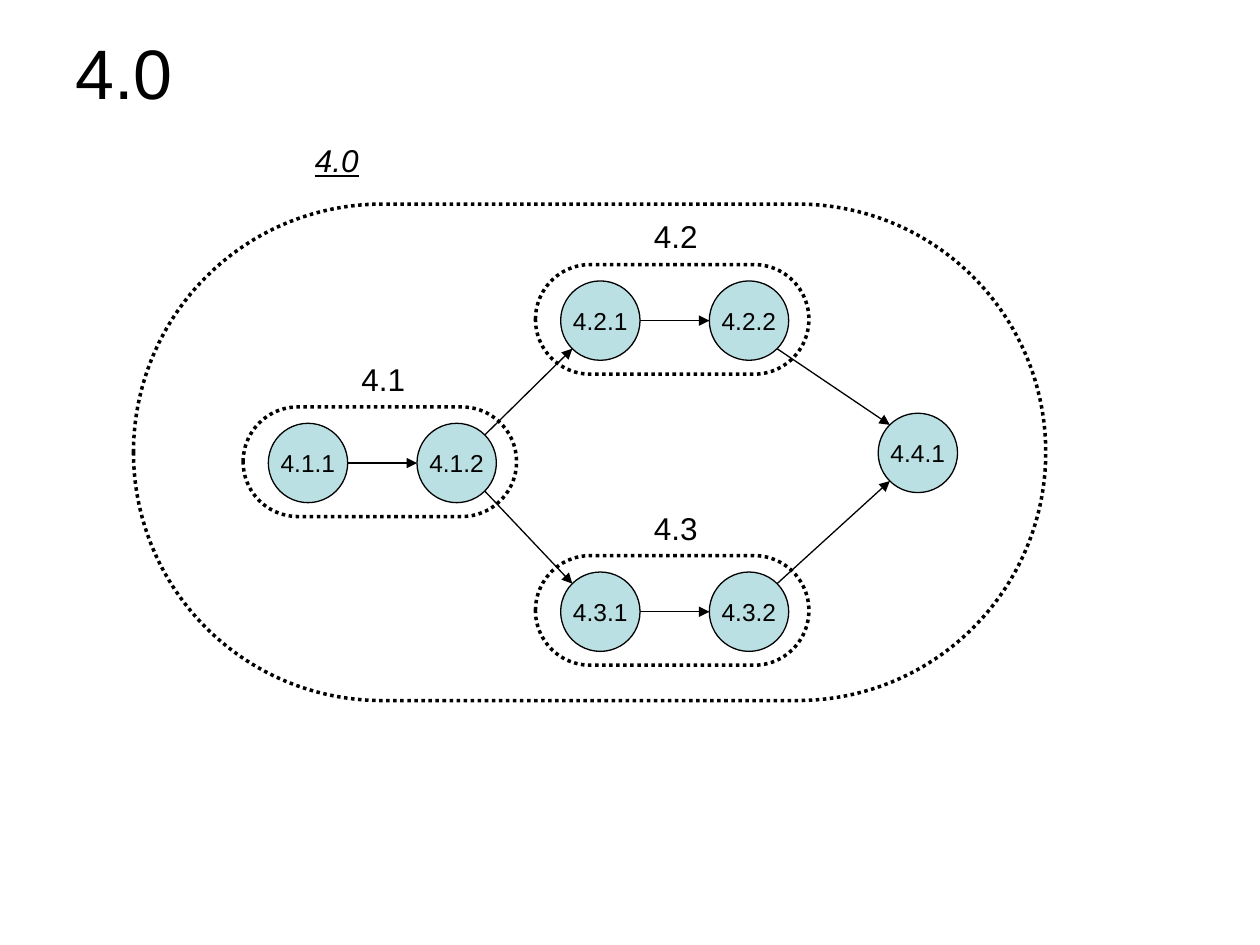
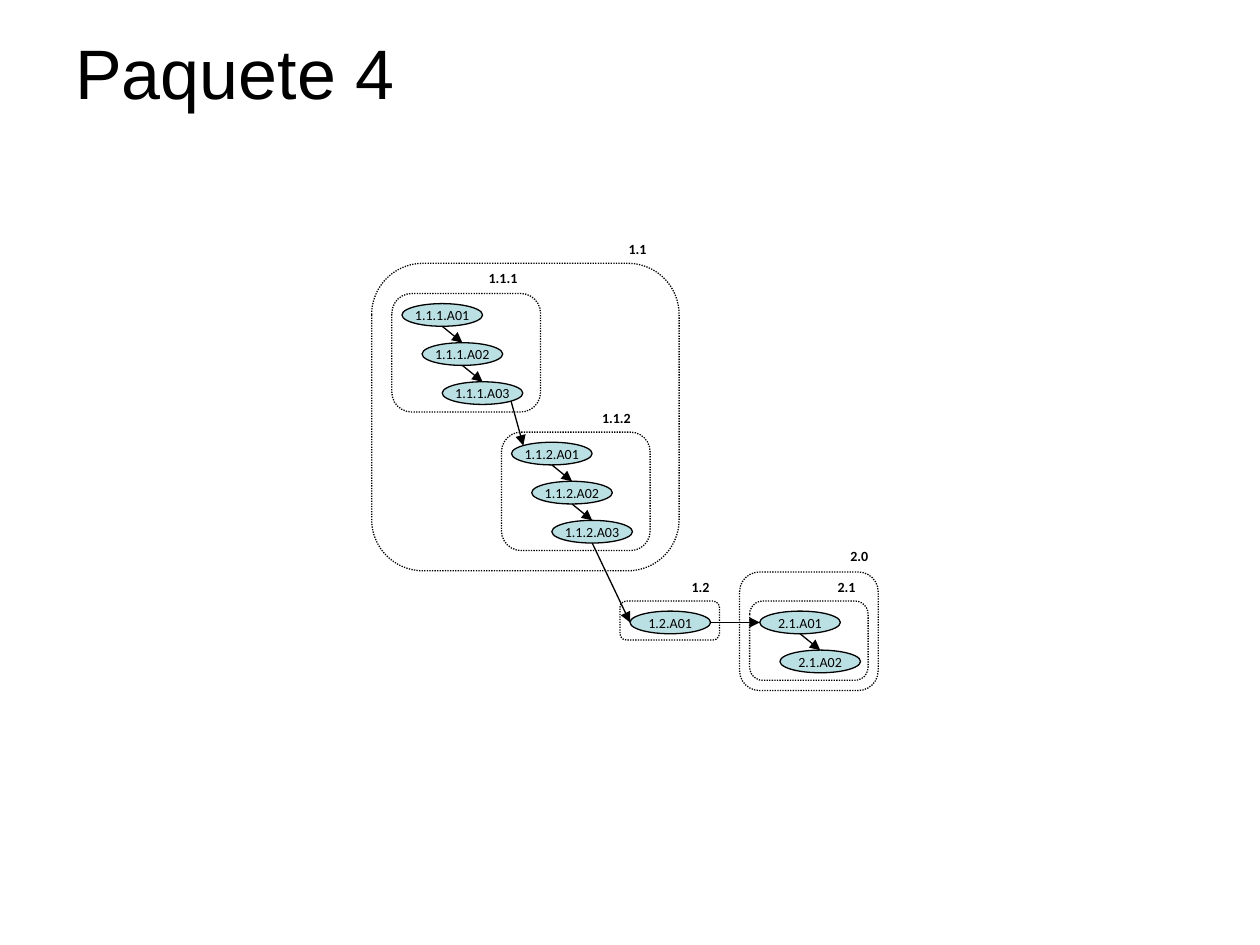
from math import cos, radians, sin

from lxml import etree
from pptx import Presentation
from pptx.dml.color import RGBColor
from pptx.enum import dml, shapes, text
from pptx.oxml.ns import qn
from pptx.util import Inches, Pt

BLACK = RGBColor(0x00, 0x00, 0x00)
NODE_FILL = RGBColor(0xBB, 0xE0, 0xE3)

# Angles of the points where an arrow touches an ellipse, clockwise from the right
RIGHT, BOTTOM_RIGHT, BOTTOM, BOTTOM_LEFT = 0, 45, 90, 135
LEFT, TOP_LEFT, TOP_RIGHT, TOP = 180, 225, 315, 270

# frames: (name, frame box, label box, nodes inside), all lengths in inches
# loose: nodes outside the inner frames, by left and top
# inset and step: place of the first node in its frame, and offset to the next
# inner: exit and entry points of the arrows inside a frame
# links: arrows between frames
NETWORKS = [
    {
        "title": "4.0",
        "frame_shape": shapes.MSO_SHAPE.ROUNDED_RECTANGLE,
        "frame_line": 2,
        "font": "Arial", "label_size": 18, "node_size": 14,
        "label_bold": False, "emphasised": "4.0",
        "node": (0.63, 0.63), "inset": (0.2, 0.13), "step": (1.18, 0),
        "inner": (RIGHT, LEFT),
        "frames": [
            ("4.0", (1.06, 1.62, 7.24, 3.94), (2.4, 1.07, 0.55, 0.4), []),
            ("4.1", (1.93, 3.23, 2.17, 0.87), (2.77, 2.81, 0.55, 0.4),
             ["4.1.1", "4.1.2"]),
            ("4.2", (4.25, 2.1, 2.17, 0.87), (5.09, 1.67, 0.55, 0.4),
             ["4.2.1", "4.2.2"]),
            ("4.3", (4.25, 4.41, 2.17, 0.87), (5.09, 3.99, 0.55, 0.4),
             ["4.3.1", "4.3.2"]),
        ],
        "loose": {"4.4.1": (6.97, 3.28)},
        "links": [
            ("4.1.2", TOP_RIGHT, "4.2.1", BOTTOM_LEFT),
            ("4.1.2", BOTTOM_RIGHT, "4.3.1", TOP_LEFT),
            ("4.2.2", BOTTOM_RIGHT, "4.4.1", TOP_LEFT),
            ("4.3.2", TOP_RIGHT, "4.4.1", BOTTOM_LEFT),
        ],
    },
    {
        "title": "Paquete 4",
        "frame_shape": shapes.MSO_SHAPE.FLOWCHART_ALTERNATE_PROCESS,
        "frame_line": 0.75,
        "font": "Calibri", "label_size": 8, "node_size": 8,
        "label_bold": True, "emphasised": None,
        "node": (0.64, 0.18), "inset": (0.08, 0.08), "step": (0.16, 0.31),
        "inner": (BOTTOM, TOP),
        "frames": [
            ("1.1", (2.95, 2.09, 2.44, 2.44), (4.89, 1.86, 0.34, 0.23), []),
            ("1.1.1", (3.11, 2.33, 1.18, 0.94), (3.78, 2.09, 0.43, 0.23),
             ["1.1.1.A01", "1.1.1.A02", "1.1.1.A03"]),
            ("1.1.2", (3.98, 3.43, 1.18, 0.94), (4.68, 3.2, 0.43, 0.23),
             ["1.1.2.A01", "1.1.2.A02", "1.1.2.A03"]),
            ("1.2", (4.92, 4.77, 0.79, 0.31), (5.39, 4.54, 0.34, 0.23),
             ["1.2.A01"]),
            ("2.0", (5.87, 4.54, 1.1, 0.94), (6.65, 4.3, 0.34, 0.23), []),
            ("2.1", (5.95, 4.77, 0.94, 0.63), (6.55, 4.54, 0.34, 0.23),
             ["2.1.A01", "2.1.A02"]),
        ],
        "loose": {},
        "links": [
            ("1.1.1.A03", BOTTOM_RIGHT, "1.1.2.A01", TOP_LEFT),
            ("1.1.2.A03", BOTTOM, "1.2.A01", LEFT),
            ("1.2.A01", RIGHT, "2.1.A01", LEFT),
        ],
    },
]


def write(sp, words, font, size, anchor, align=text.PP_ALIGN.LEFT, wrap=False):
    tf = sp.text_frame
    tf.text = words
    tf.word_wrap = wrap
    tf.vertical_anchor = anchor
    p = tf.paragraphs[0]
    p.alignment = align
    r = p.runs[0]
    r.font.name, r.font.size = font, Pt(size)
    r.font.color.rgb = BLACK
    return r


def add_text(slide, box, words, font, size, anchor, wrap=False):
    sp = slide.shapes.add_textbox(*map(Inches, box))
    return write(sp, words, font, size, anchor, wrap=wrap)


def add_outline(slide, kind, box, line_width):
    sp = slide.shapes.add_shape(kind, *map(Inches, box))
    sp.shadow.inherit = False
    sp.line.color.rgb = BLACK
    sp.line.width = Pt(line_width)
    return sp


def add_frame(slide, net, box):
    sp = add_outline(slide, net["frame_shape"], box, net["frame_line"])
    sp.fill.background()
    sp.line.dash_style = dml.MSO_LINE.ROUND_DOT
    if net["frame_shape"] == shapes.MSO_SHAPE.ROUNDED_RECTANGLE:
        sp.adjustments[0] = 0.5


def add_node(slide, net, name, left, top):
    sp = add_outline(slide, shapes.MSO_SHAPE.OVAL, (left, top, *net["node"]), 0.75)
    sp.fill.solid()
    sp.fill.fore_color.rgb = NODE_FILL
    write(sp, name, net["font"], net["node_size"],
          text.MSO_ANCHOR.MIDDLE, text.PP_ALIGN.CENTER)


def edge_point(net, corner, angle):
    """Point on the edge of the node whose left and top are given."""
    a = radians(angle)
    return [Inches(start + size / 2 * (1 + turn))
            for start, size, turn in zip(corner, net["node"], (cos(a), sin(a)))]


def add_arrow(slide, begin, end):
    c = slide.shapes.add_connector(shapes.MSO_CONNECTOR.STRAIGHT, *begin, *end)
    c.line.color.rgb = BLACK
    c.line.width = Pt(0.75)
    etree.SubElement(c.line._get_or_add_ln(), qn("a:tailEnd"), type="triangle")
    etree.SubElement(c._element.spPr, qn("a:effectLst"))


def add_network(prs, net):
    slide = prs.slides.add_slide(prs.slide_layouts[6])
    add_text(slide, (0.5, 0.3, 9, 0.54), net["title"], "Arial", 40,
             text.MSO_ANCHOR.MIDDLE, wrap=True)

    # Frames with their labels, and the places of the nodes inside
    corners = dict(net["loose"])
    links = list(net["links"])
    leave, enter = net["inner"]
    for name, box, label_box, nodes in net["frames"]:
        add_frame(slide, net, box)
        r = add_text(slide, label_box, name, net["font"], net["label_size"],
                     text.MSO_ANCHOR.TOP)
        r.font.bold = net["label_bold"]
        if name == net["emphasised"]:
            r.font.italic = r.font.underline = True
        for i, node in enumerate(nodes):
            corners[node] = [start + inset + i * step for start, inset, step
                             in zip(box, net["inset"], net["step"])]
        links += [(a, leave, b, enter) for a, b in zip(nodes, nodes[1:])]

    # Nodes, then the arrows between them
    for name, corner in corners.items():
        add_node(slide, net, name, *corner)
    for source, out_angle, target, in_angle in links:
        add_arrow(slide, edge_point(net, corners[source], out_angle),
                  edge_point(net, corners[target], in_angle))


def main():
    prs = Presentation()
    prs.slide_width, prs.slide_height = Inches(10), Inches(7.5)
    for net in NETWORKS:
        add_network(prs, net)
    prs.save("out.pptx")


if __name__ == "__main__":
    main()
